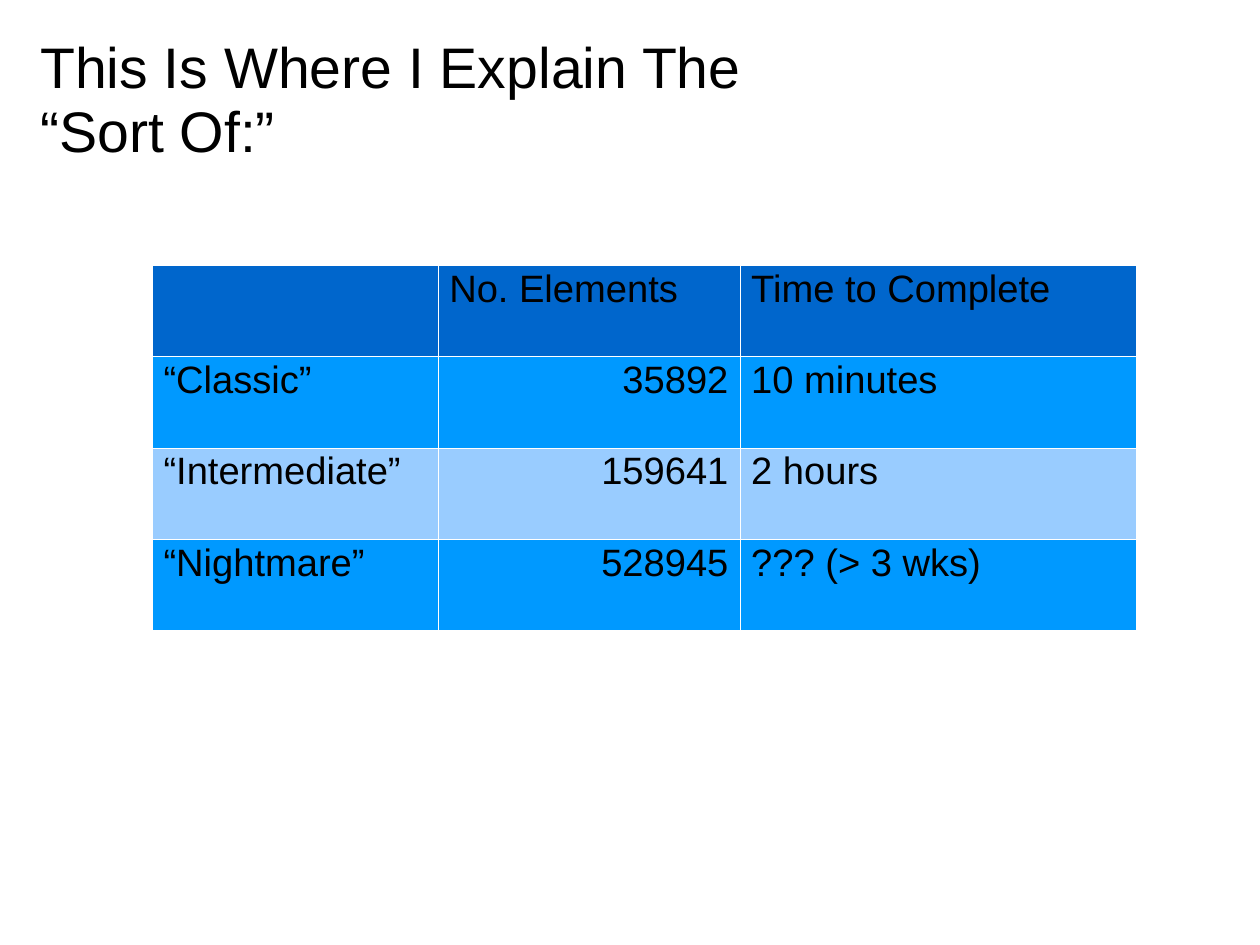
from lxml import etree
from pptx import Presentation
from pptx import util as u
from pptx.dml.color import RGBColor
from pptx.enum import text
from pptx.oxml import ns

COLORS = {
    "text": "000000",
    "border": "FFFFFF",
    "header": "0066CC",
    "odd row": "0099FF",
    "even row": "99CCFF",
}
ROWS = [
    ("", "No. Elements", "Time to Complete"),
    ("“Classic”", "35892", "10 minutes"),
    ("“Intermediate”", "159641", "2 hours"),
    ("“Nightmare”", "528945", "??? (> 3 wks)"),
]
COLUMN_WIDTHS = [6.35, 6.71, 8.81]
ROW_HEIGHT = 2.03


def format_text(text_frame, size, alignment=text.PP_ALIGN.LEFT):
    """Apply the slide's font, size, spacing and alignment."""
    for paragraph in text_frame.paragraphs:
        paragraph.alignment = alignment
        paragraph.line_spacing = 0.93
        for run in paragraph.runs:
            run.font.name = "Arial"
            run.font.size = u.Pt(size)
            run.font.bold = False
            run.font.color.rgb = RGBColor.from_string(COLORS["text"])


def add_borders(cell):
    """Draw a hairline on all four sides of a table cell."""
    properties = cell._tc.get_or_add_tcPr()
    for position, side in enumerate(("lnL", "lnR", "lnT", "lnB")):
        line = etree.Element(ns.qn(f"a:{side}"), w=str(u.Pt(0.06)))
        fill = etree.SubElement(line, ns.qn("a:solidFill"))
        etree.SubElement(fill, ns.qn("a:srgbClr"), val=COLORS["border"])
        properties.insert(position, line)


presentation = Presentation()
presentation.slide_width = u.Cm(28)
presentation.slide_height = u.Cm(21)
slide = presentation.slides.add_slide(presentation.slide_layouts[5])

title = slide.shapes.title
title.left, title.top = u.Cm(0.64), u.Cm(0.64)
title.width, title.height = u.Cm(17.78), u.Cm(3.1)
title_frame = title.text_frame
title_frame.text = "This Is Where I Explain The “Sort Of:”"
title_frame.word_wrap = True
title_frame.auto_size = text.MSO_AUTO_SIZE.NONE
title_frame.vertical_anchor = text.MSO_ANCHOR.TOP
title_frame.margin_top = u.Cm(0.2)
format_text(title_frame, 36)

table = slide.shapes.add_table(
    len(ROWS), len(COLUMN_WIDTHS), u.Cm(3.38), u.Cm(5.89),
    u.Cm(sum(COLUMN_WIDTHS)), u.Cm(ROW_HEIGHT * len(ROWS)),
).table
for column, width in zip(table.columns, COLUMN_WIDTHS):
    column.width = u.Cm(width)

for row_index, values in enumerate(ROWS):
    table.rows[row_index].height = u.Cm(ROW_HEIGHT)
    if row_index == 0:
        row_color = COLORS["header"]
    else:
        row_color = COLORS["odd row" if row_index % 2 else "even row"]
    for column_index, value in enumerate(values):
        cell = table.cell(row_index, column_index)
        cell.text_frame.text = value
        is_number = value.isdigit()
        format_text(cell.text_frame, 24,
                    text.PP_ALIGN.RIGHT if is_number else text.PP_ALIGN.LEFT)
        cell.fill.solid()
        cell.fill.fore_color.rgb = RGBColor.from_string(row_color)
        add_borders(cell)

presentation.save("out.pptx")
